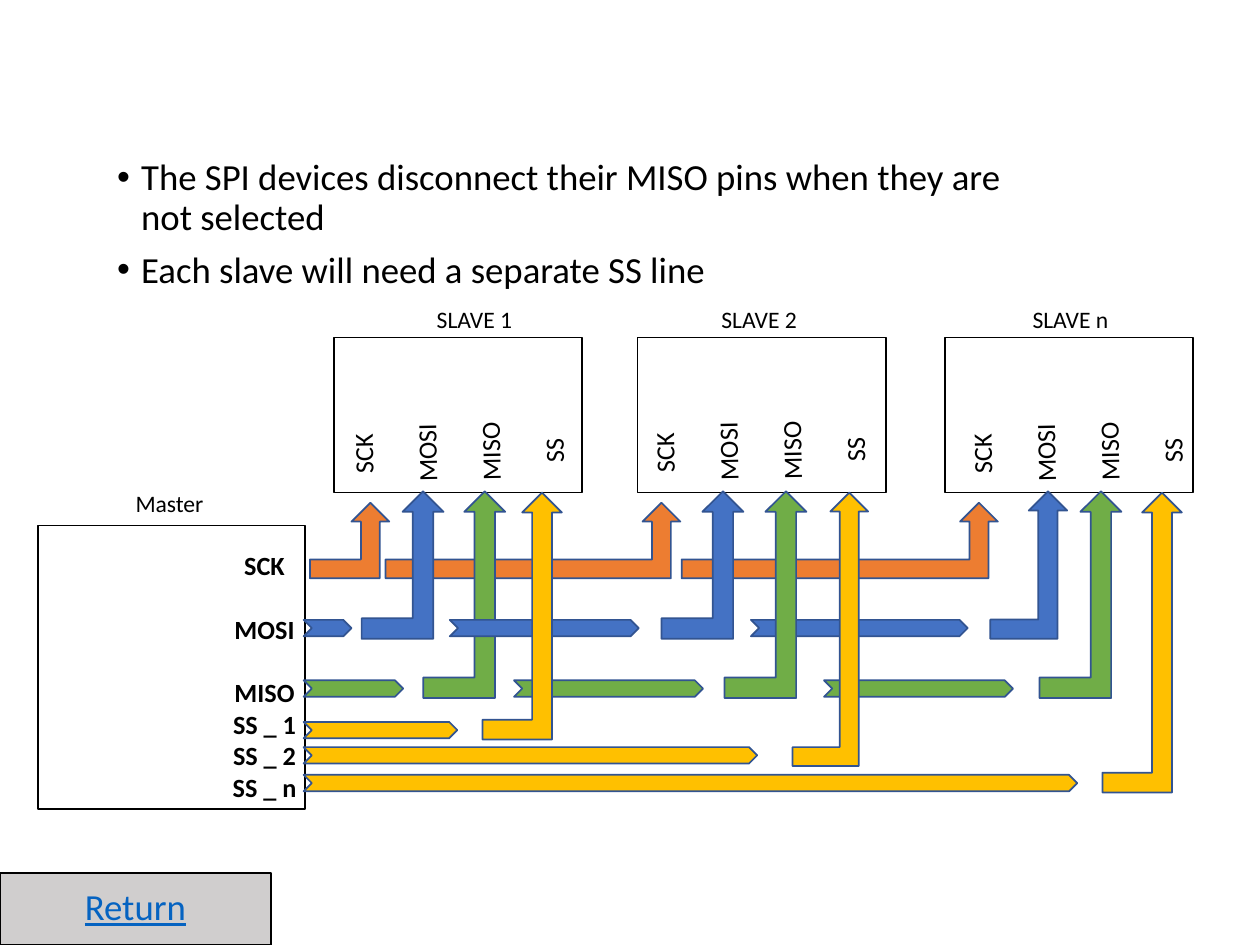
import pptx
import pptx.dml.color
import pptx.enum.shapes
import pptx.enum.text
import pptx.oxml
import pptx.oxml.ns
import pptx.util

Inches = pptx.util.Inches
Pt = pptx.util.Pt
MSO_SHAPE = pptx.enum.shapes.MSO_SHAPE
PP_ALIGN = pptx.enum.text.PP_ALIGN
ANCHOR = pptx.enum.text.MSO_ANCHOR

BLACK, WHITE, GREY, LINK = "000000", "FFFFFF", "D0CECE", "0563C1"
OUTLINE = "325491"
SIGNAL_COLOURS = {"SCK": "ED7D31", "MOSI": "4472C4", "MISO": "70AD47", "SS": "FFC000"}
LINE_PITCH = 18.3  # height of one 15 pt line, in points


def rgb(colour):
    return pptx.dml.color.RGBColor.from_string(colour)


def box(left, top, width, height):
    return [Inches(value) for value in (left, top, width, height)]


class Diagram:
    """Slide under construction, with the style shared by its elements."""

    font_name = "Calibri"
    insets = {"margin_left": 0.07, "margin_right": 0.07, "margin_top": 0.04, "margin_bottom": 0.04}

    def __init__(self, slide):
        self.slide = slide

    def set_text(self, frame, lines, size, colour=BLACK, bold=False, underline=None,
                 align=PP_ALIGN.CENTER, gaps=(), spacing=None, bullet=False):
        """Fill a frame with lines; gaps gives the points of space before each line."""
        frame.word_wrap = True
        for side, inset in self.insets.items():
            setattr(frame, side, Inches(inset))
        for index, line in enumerate(lines):
            paragraph = frame.paragraphs[0] if index == 0 else frame.add_paragraph()
            paragraph.text = line
            if bullet:
                self.add_bullet(paragraph)
            layout = {"alignment": align, "line_spacing": spacing,
                      "space_before": Pt(gaps[index] if gaps else 0)}
            for name, value in layout.items():
                setattr(paragraph, name, value)
            style = {"name": self.font_name, "size": Pt(size), "bold": bold, "underline": underline}
            font = paragraph.runs[0].font
            for name, value in style.items():
                setattr(font, name, value)
            font.color.rgb = rgb(colour)

    def add_bullet(self, paragraph):
        properties = paragraph._p.get_or_add_pPr()
        properties.set("marL", str(Inches(0.19)))
        properties.set("indent", str(-Inches(0.19)))
        namespace = pptx.oxml.ns.nsdecls("a")
        properties.append(pptx.oxml.parse_xml(f'<a:buFont {namespace} typeface="Arial"/>'))
        properties.append(pptx.oxml.parse_xml(f'<a:buChar {namespace} char="•"/>'))

    def bullets(self, place, lines):
        body = self.slide.placeholders[1]
        body.left, body.top, body.width, body.height = box(*place)
        self.set_text(body.text_frame, lines, 21, align=PP_ALIGN.LEFT, gaps=(0, 7.5),
                      spacing=0.9, bullet=True)
        body.text_frame.auto_size = pptx.enum.text.MSO_AUTO_SIZE.NONE
        body.text_frame.vertical_anchor = ANCHOR.TOP
        body.text_frame.margin_right = Inches(1.2)

    def shape(self, kind, place, fill=WHITE, line=BLACK, weight=1):
        shape = self.slide.shapes.add_shape(kind, *box(*place))
        shape.shadow.inherit = False
        shape.fill.solid()
        shape.fill.fore_color.rgb = rgb(fill)
        shape.line.color.rgb = rgb(line)
        shape.line.width = Pt(weight)
        return shape

    def label(self, place, lines, size=15, rotation=0, **style):
        text_box = self.slide.shapes.add_textbox(*box(*place))
        text_box.rotation = rotation
        self.set_text(text_box.text_frame, lines, size, **style)

    def slave(self, name, box_left, name_left, pins_left, pins_top):
        self.shape(MSO_SHAPE.RECTANGLE, (box_left, 2.68, 1.97, 1.23))
        self.label((name_left, 2.38, 2.25, 0.3), [name], 13.5)
        self.label((pins_left, pins_top, 1.11, 1.84), list(SIGNAL_COLOURS), rotation=269,
                   gaps=(0, LINE_PITCH, LINE_PITCH, LINE_PITCH))

    def rise(self, signal, left, top, width, height):
        """Bent arrow that goes up into a slave pin."""
        self.shape(MSO_SHAPE.BENT_UP_ARROW, (left, top, width, height),
                   SIGNAL_COLOURS[signal], OUTLINE)

    def flow(self, signal, left, top, width):
        """Flat chevron that carries a signal to the right."""
        self.shape(MSO_SHAPE.CHEVRON, (left, top, width, 0.13), SIGNAL_COLOURS[signal], OUTLINE)

    def button(self, place, caption):
        button = self.shape(MSO_SHAPE.RECTANGLE, place, GREY, weight=1.5)
        button.text_frame.vertical_anchor = ANCHOR.MIDDLE
        self.set_text(button.text_frame, [caption], 21, colour=LINK, underline=True, spacing=0.9)


def main():
    deck = pptx.Presentation()
    deck.slide_width, deck.slide_height = Inches(10), Inches(7.5)
    slide = deck.slides.add_slide(deck.slide_layouts[1])
    empty_title = slide.shapes.title._element
    empty_title.getparent().remove(empty_title)
    diagram = Diagram(slide)

    diagram.bullets((0.86, 1.22, 8.62, 4.84), [
        "The SPI devices disconnect their MISO pins when they are not selected",
        "Each slave will need a separate SS line",
    ])

    diagram.shape(MSO_SHAPE.RECTANGLE, (0.3, 4.17, 2.12, 2.25))
    diagram.label((0.22, 3.84, 2.25, 0.3), ["Master"], 13.5)
    diagram.label((1.33, 4.32, 1.54, 2.1), ["SCK", "MOSI", "MISO", "SS _ 1", "SS _ 2", "SS _ n"],
                  bold=True, gaps=(0, LINE_PITCH, LINE_PITCH, 0, 0, 0))

    diagram.slave("SLAVE 1", 2.65, 2.64, 3.08, 2.67)
    diagram.slave("SLAVE 2", 5.06, 4.9, 5.47, 2.66)
    diagram.slave("SLAVE n", 7.5, 7.37, 7.99, 2.67)

    # Back to front: the SS arrows cross over every other signal
    for left, width in ((2.46, 0.63), (3.06, 2.34), (5.41, 2.51)):
        diagram.rise("SCK", left, 3.99, width, 0.6)

    diagram.rise("MISO", 3.36, 3.9, 0.65, 1.64)
    for left, width in ((2.87, 0.65), (5.25, 0.65), (7.86, 0.61)):
        diagram.rise("MOSI", left, 3.9, width, 1.17)
    for left, width in ((2.41, 0.38), (3.57, 1.5), (5.96, 1.72)):
        diagram.flow("MOSI", left, 4.92, width)

    for left in (5.75, 8.25):
        diagram.rise("MISO", left, 3.9, 0.65, 1.64)
    for left, width in ((2.41, 0.79), (4.08, 1.5), (6.54, 1.5)):
        diagram.flow("MISO", left, 5.4, width)

    for left, width, height in ((3.83, 0.63, 1.96), (6.29, 0.6, 2.17), (8.75, 0.63, 2.38)):
        diagram.rise("SS", left, 3.91, width, height)
    for top, width in ((5.73, 1.22), (5.93, 3.6), (6.15, 6.14)):
        diagram.flow("SS", 2.41, top, width)

    diagram.button((0, 6.93, 2.15, 0.57), "Return")
    deck.save("out.pptx")


if __name__ == "__main__":
    main()
